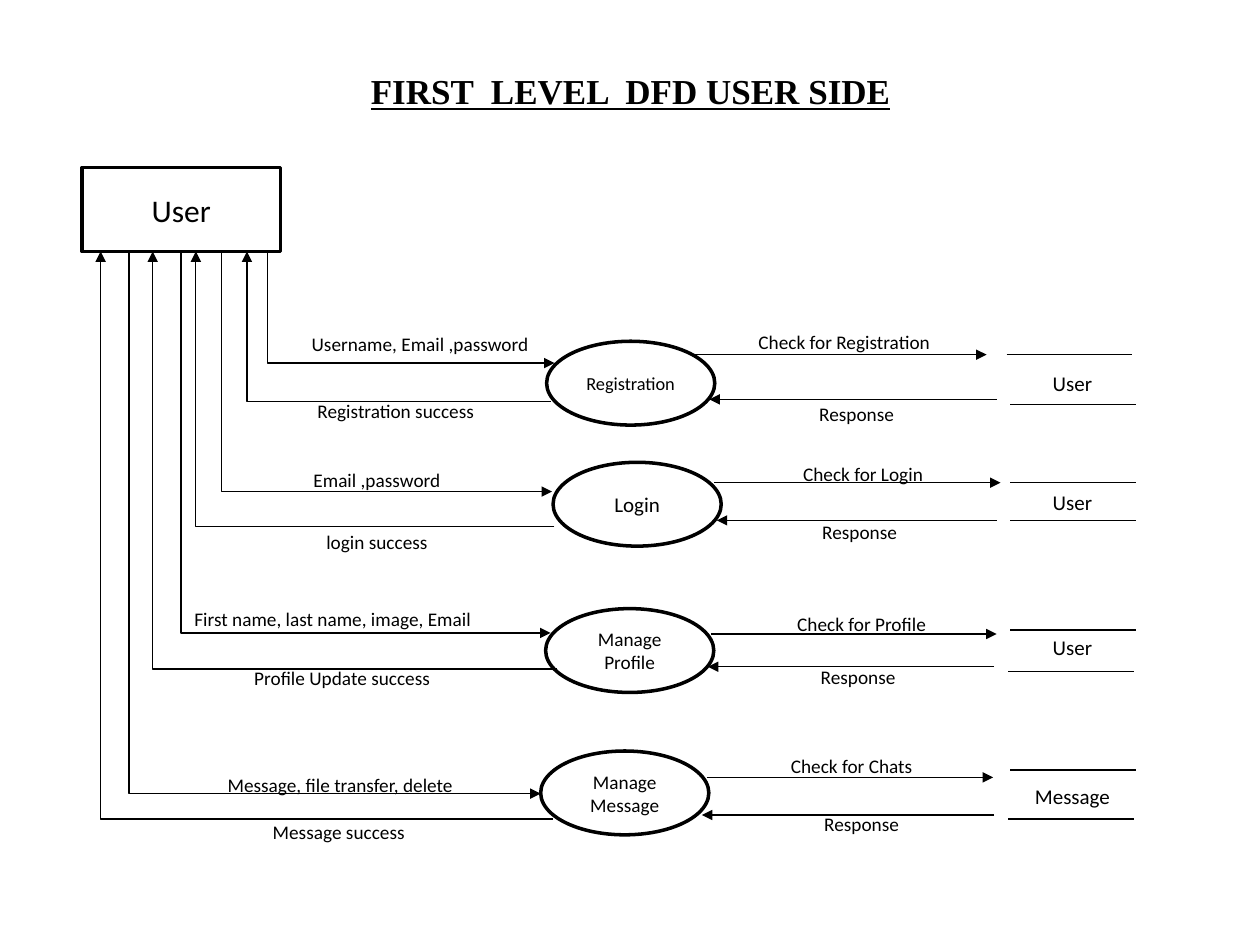
import pptx
import pptx.util
import pptx.dml.color
import pptx.enum.shapes
import pptx.enum.text
from lxml import etree
from pptx.util import Cm, Pt

INK = {"line": "000000", "text": "000000", "fill": "FFFFFF"}
LINK = pptx.enum.shapes.MSO_CONNECTOR
FORM = pptx.enum.shapes.MSO_SHAPE
MID = pptx.enum.text.MSO_ANCHOR.MIDDLE
TOP = pptx.enum.text.MSO_ANCHOR.TOP
GROW = pptx.enum.text.MSO_AUTO_SIZE.SHAPE_TO_FIT_TEXT
NS = "{http://schemas.openxmlformats.org/drawingml/2006/main}"

LEFT = 1.65               # left edge of the user box and of every row
USER = (LEFT, 3.38, 4.01, 1.69)
FOOT = USER[1] + USER[3]  # lanes start and end here
OVAL = (3.39, 1.69)
RULE = 2.54               # length of a data store line

# Offsets are from the left edge and the top of each row.
# A flow is: text, label centre, label top, from x, to x, line y.
ROWS = [
    {"top": 6.88, "name": "Registration", "size": 10.5, "oval": 9.37,
     "ask": ("Username, Email ,password", 6.82, -0.3, 3.74, 9.53, 0.44),
     "done": ("Registration success", 6.33, 1.04, 9.45, 3.33, 1.22),
     "check": ("Check for Registration", 15.37, -0.35, 12.24, 18.24, 0.27),
     "reply": ("Response", 15.62, 1.1, 18.44, 12.65, 1.17),
     "store": ("User", 0.46, (18.64, 0.26), (18.72, 1.27))},
    {"top": 9.32, "name": "Login", "size": 12, "oval": 9.5,
     "ask": ("Email ,password", 5.95, 0, 2.81, 9.48, 0.59),
     "done": ("login success", 5.95, 1.25, 9.53, 2.3, 1.3),
     "check": ("Check for Login", 15.75, -0.13, 12.75, 18.52, 0.41),
     "reply": ("Response", 15.68, 1.04, 18.44, 12.8, 1.17),
     "store": ("User", 0.43, (18.72, 0.41), (18.72, 1.17))},
    {"top": 12.27, "name": "Manage Profile", "size": 11, "oval": 9.35,
     "ask": ("First name, last name, image, Email", 5.06, -0.15, 2, 9.45, 0.49),
     "done": ("Profile Update success", 5.25, 1.04, 9.58, 1.43, 1.22),
     "check": ("Check for Profile", 15.72, -0.05, 12.68, 18.44, 0.51),
     "reply": ("Response", 15.65, 1.01, 18.39, 12.62, 1.17),
     "store": ("User", 0.4, (18.72, 0.43), (18.67, 1.27))},
    {"top": 15.14, "name": "Manage Message", "size": 11, "oval": 9.25,
     "ask": ("Message, file transfer, delete", 5.21, 0.33, 0.95, 9.25, 0.86),
     "done": ("Message success", 5.18, 1.27, 9.5, 0.38, 1.37),
     "check": ("Check for Chats", 15.52, -0.05, 12.6, 18.37, 0.53),
     "reply": ("Response", 15.72, 1.12, 18.39, 12.5, 1.29),
     "store": ("Message", 0.53, (18.72, 0.38), (18.67, 1.37))},
]


def color(key):
    return pptx.dml.color.RGBColor.from_string(INK[key])


def write(frame, text, size=11, font="Calibri", bold=False, under=False,
          wrap=True, anchor=TOP):
    """Put one centred paragraph into a text frame."""
    frame.word_wrap = wrap
    frame.vertical_anchor = anchor
    par = frame.paragraphs[0]
    par.alignment = pptx.enum.text.PP_ALIGN.CENTER
    run = par.add_run()
    run.text = text
    run.font.size = Pt(size)
    run.font.name = font
    run.font.bold = bold
    run.font.underline = under
    run.font.color.rgb = color("text")


def node(slide, form, box, text, size):
    shape = slide.shapes.add_shape(form, *map(Cm, box))
    shape.shadow.inherit = False
    shape.fill.solid()
    shape.fill.fore_color.rgb = color("fill")
    shape.line.color.rgb = color("line")
    shape.line.width = Pt(2)
    write(shape.text_frame, text, size=size, anchor=MID)


def label(slide, mid, top, text, size=11):
    wide = 0.17 * len(text) + 1.1
    box = slide.shapes.add_textbox(Cm(mid - wide / 2), Cm(top), Cm(wide), Cm(0.74))
    write(box.text_frame, text, size=size, wrap=False)
    box.text_frame.auto_size = GROW


def link(slide, start, end, arrow=True, bend=None):
    """Draw a line; bend is the share of the width at which an elbow turns."""
    kind = LINK.STRAIGHT if bend is None else LINK.ELBOW
    line = slide.shapes.add_connector(kind, *map(Cm, start + end))
    line.line.color.rgb = color("line")
    line.line.width = Pt(0.75)
    props = line.line._get_or_add_ln()
    if arrow:
        etree.SubElement(props, NS + "tailEnd", type="triangle")
    etree.SubElement(props.getparent(), NS + "effectLst")
    if bend is not None:
        guides = props.getparent().find(f"{NS}prstGeom/{NS}avLst")
        etree.SubElement(guides, NS + "gd", name="adj1",
                         fmla=f"val {bend * 100000}")


def flow(slide, x, y, data, bend=None):
    """Draw a labelled arrow; an elbow has one end at the user box."""
    text, mid, top, tail, head, line = data
    start, end = (x + tail, y + line), (x + head, y + line)
    if bend == 0:
        start = (x + tail, FOOT)
    elif bend == 1:
        end = (x + head, FOOT)
    link(slide, start, end, bend=bend)
    label(slide, x + mid, y + top, text)


def store(slide, x, y, data):
    text, top, *rules = data
    for left, line in rules:
        link(slide, (x + left, y + line), (x + left + RULE, y + line), arrow=False)
    label(slide, x + 19.97, y + top, text, size=12)


def row(slide, x, data):
    y = data["top"]
    node(slide, FORM.OVAL, (x + data["oval"], y) + OVAL, data["name"], data["size"])
    flow(slide, x, y, data["ask"], bend=0)
    flow(slide, x, y, data["done"], bend=1)
    flow(slide, x, y, data["check"])
    flow(slide, x, y, data["reply"])
    store(slide, x, y, data["store"])


def title(slide, box, text):
    head = slide.shapes.title
    head.left, head.top, head.width, head.height = map(Cm, box)
    write(head.text_frame, text, size=20, font="Times New Roman", bold=True,
          under=True, anchor=MID)


def main():
    deck = pptx.Presentation()
    deck.slide_width, deck.slide_height = Cm(25.4), Cm(19.05)
    slide = deck.slides.add_slide(deck.slide_layouts[5])
    title(slide, (2.9, 1.27, 19.63, 1.12), "FIRST  LEVEL  DFD USER SIDE")
    node(slide, FORM.RECTANGLE, USER, "User", 18)
    for data in ROWS:
        row(slide, LEFT, data)
    deck.save("out.pptx")


if __name__ == "__main__":
    main()
